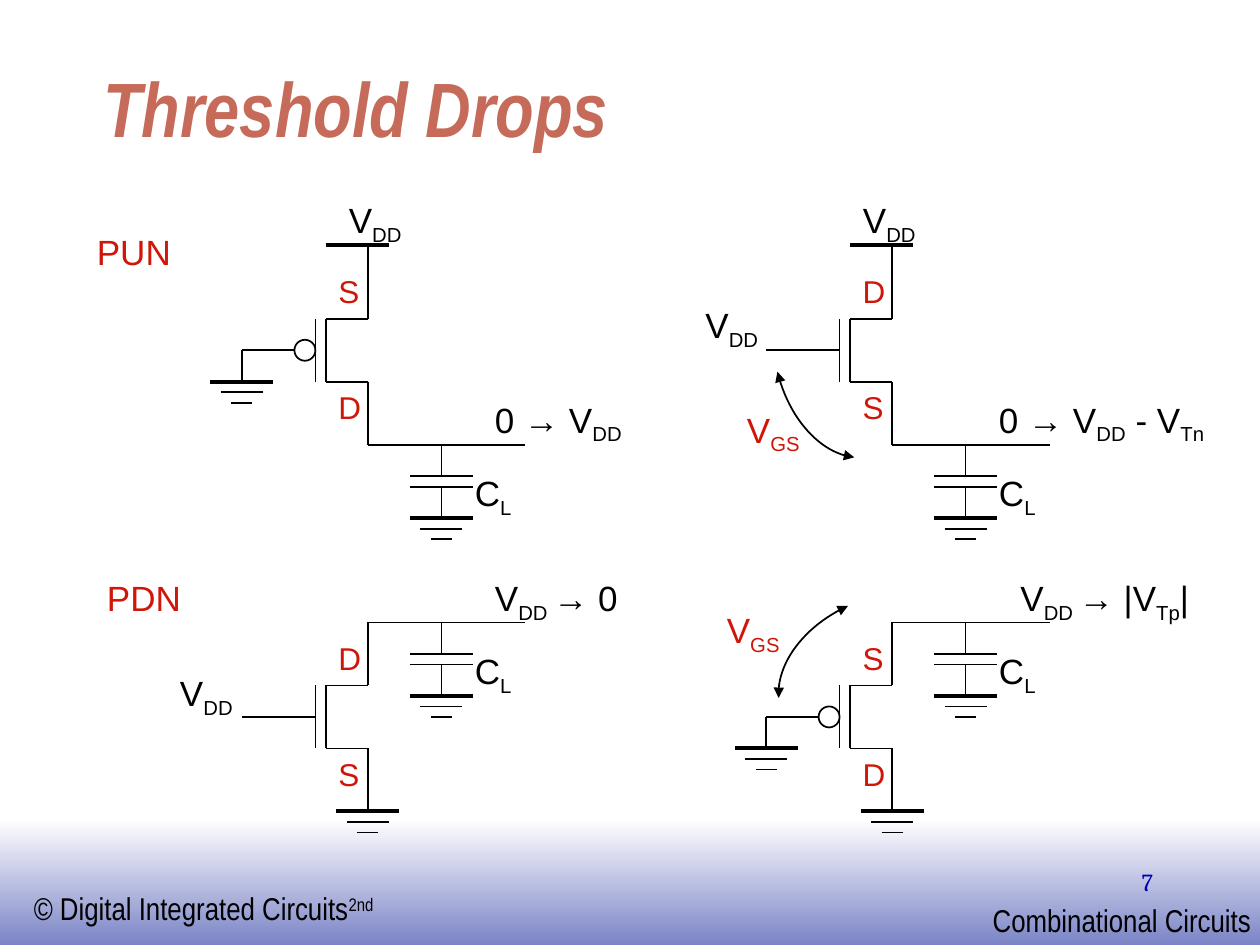
from lxml import etree
from pptx import Presentation
from pptx.dml.color import RGBColor
from pptx.enum.shapes import MSO_CONNECTOR, MSO_SHAPE
from pptx.enum.text import MSO_ANCHOR, MSO_AUTO_SIZE, PP_ALIGN
from pptx.oxml.ns import qn
from pptx.util import Inches, Pt

STRAIGHT = MSO_CONNECTOR.STRAIGHT
RECTANGLE, OVAL = MSO_SHAPE.RECTANGLE, MSO_SHAPE.OVAL
BOTTOM, TOP = MSO_ANCHOR.BOTTOM, MSO_ANCHOR.TOP
LEFT, RIGHT = PP_ALIGN.LEFT, PP_ALIGN.RIGHT
GROW = MSO_AUTO_SIZE.SHAPE_TO_FIT_TEXT
TITLE_ONLY = 5

THEME = {
    "black": "000000", "red": "D01608", "title": "C66B5A", "page": "0000B6",
    "fade": ("FFFFFF", "7B84C6"),
    "sans": "Arial", "narrow": "Arial Narrow", "serif": "Cambria",
    "title_size": 44, "label_size": 20, "small_size": 18, "page_size": 14,
    "thin": 1, "thick": 2.25,
    "subscript": -25, "superscript": 30,
}

# Text between tildes is lowered (or raised where a label asks for it).
TITLE = "Threshold Drops"
# Drain line x and channel top y in inches, transistor type, network, terminals
CIRCUITS = [
    (2.92, 2.53, "pmos", "pull-up", "SD"),
    (7.08, 2.53, "nmos", "pull-up", "DS"),
    (2.92, 5.44, "nmos", "pull-down", "DS"),
    (7.08, 5.44, "pmos", "pull-down", "SD"),
]
# Text, left, top, width, colour
LABELS = [
    ("PUN", 0.67, 1.78, 0.79, "red"),
    ("PDN", 0.75, 4.53, 0.79, "red"),
    ("V~DD~", 2.67, 1.53, 0.65, "black"),
    ("V~DD~", 6.75, 1.53, 0.65, "black"),
    ("V~DD~", 5.5, 2.36, 0.65, "black"),
    ("V~DD~", 1.33, 5.28, 0.65, "black"),
    ("0 → V~DD~", 3.83, 3.11, 1.23, "black"),
    ("0 → V~DD~ - V~Tn~", 7.83, 3.11, 1.87, "black"),
    ("V~DD ~→ 0", 3.83, 4.53, 1.23, "black"),
    ("V~DD ~→ |V~Tp~|", 8, 4.53, 1.62, "black"),
    ("V~GS~", 5.83, 3.19, 0.65, "red"),
    ("V~GS~", 5.67, 4.78, 0.65, "red"),
]
# Bezier control points of the gate-source voltage arrows
VOLTAGE_ARROWS = [
    [(6.17, 2.95), (6.26, 3.32), (6.51, 3.6), (6.78, 3.63)],
    [(6.73, 4.81), (6.38, 4.97), (6.16, 5.27), (6.18, 5.54)],
]
STEP = 1 / 12  # circuit grid in inches
CURVE_PARTS = 24


def color(name):
    return RGBColor.from_string(THEME.get(name, name))


def write(frame, text, size="label_size", font="sans", ink="black",
          align=LEFT, shift="subscript", bold=False, italic=False):
    para = frame.paragraphs[0]
    para.alignment = align
    for index, part in enumerate(text.split("~")):
        if not part:
            continue
        span = para.add_run()
        span.text = part
        span.font.size = Pt(THEME[size])
        span.font.name = THEME[font]
        span.font.color.rgb = color(ink)
        span.font.bold, span.font.italic = bold, italic
        if index % 2:
            span.font._element.set("baseline", str(THEME[shift] * 1000))


def add_text(page, text, left, top, width, height=0.43, wrap=False, **style):
    box = page.shapes.add_textbox(Inches(left), Inches(top), Inches(width), Inches(height))
    frame = box.text_frame
    frame.word_wrap = wrap
    frame.vertical_anchor = TOP
    if not wrap:
        frame.auto_size = GROW
    write(frame, text, **style)


def add_voltage_arrow(page, controls):
    points = []
    for part in range(CURVE_PARTS + 1):
        t = part / CURVE_PARTS
        weights = ((1 - t) ** 3, 3 * t * (1 - t) ** 2, 3 * t * t * (1 - t), t ** 3)
        points.append(tuple(
            Inches(sum(w * point[axis] for w, point in zip(weights, controls)))
            for axis in (0, 1)))
    builder = page.shapes.build_freeform(*points[0])
    builder.add_line_segments(points[1:], close=False)
    arrow = builder.convert_to_shape()
    arrow.shadow.inherit = False
    arrow.fill.background()
    arrow.line.color.rgb = color("black")
    arrow.line.width = Pt(THEME["thin"])
    outline = arrow.line._get_or_add_ln()
    for end in ("a:headEnd", "a:tailEnd"):
        etree.SubElement(outline, qn(end), type="triangle")


class Circuit:
    """One transistor with its load, drawn in grid steps from the channel's top right."""

    def __init__(self, page, left, top):
        self.page, self.left, self.top = page, left, top

    def place(self, x, y):
        return self.left + x * STEP, self.top + y * STEP

    def wire(self, x1, y1, x2, y2, weight="thin"):
        ends = [Inches(v) for v in self.place(x1, y1) + self.place(x2, y2)]
        line = self.page.shapes.add_connector(STRAIGHT, *ends)
        line.line.color.rgb = color("black")
        line.line.width = Pt(THEME[weight])
        etree.SubElement(line._element.spPr, qn("a:effectLst"))

    def ground(self, x, y):
        for row, weight in enumerate(("thick", "thin", "thin")):
            half = 3 - row
            self.wire(x - half, y + row, x + half, y + row, weight)

    def load(self, x, y):
        self.wire(x, y, x, y + 3)
        for plate in (3, 4):
            self.wire(x - 3, y + plate, x + 3, y + plate)
        self.wire(x, y + 4, x, y + 7)
        self.ground(x, y + 7)
        add_text(self.page, "C~L~", *self.place(x + 2, y + 2), 0.5)

    def transistor(self, kind, terminals):
        for y in (0, 6):
            self.wire(-4, y, 0, y)
        for x in (-4, -5):
            self.wire(x, 0, x, 6)
        self.wire(-12, 3, -7 if kind == "pmos" else -5, 3)
        if kind == "pmos":
            left, top = self.place(-7, 2)
            bubble = self.page.shapes.add_shape(
                OVAL, Inches(left), Inches(top), Inches(2 * STEP), Inches(2 * STEP))
            bubble.shadow.inherit = False
            bubble.fill.background()
            bubble.line.color.rgb = color("black")
            bubble.line.width = Pt(THEME["thin"])
            self.wire(-12, 3, -12, 6)
            self.ground(-12, 6)
        for name, y in zip(terminals, (-5, 6)):
            add_text(self.page, name, *self.place(-4, y), 0.38, 0.4,
                     size="small_size", ink="red")

    def network(self, kind):
        pull_up = kind == "pull-up"
        output = 12 if pull_up else -6
        self.wire(0, -7 if pull_up else -6, 0, 0)
        self.wire(0, 6, 0, 12)
        if pull_up:
            self.wire(-4, -7, 2, -7, "thick")
        else:
            self.ground(0, 12)
        self.wire(0, output, 15, output)
        self.load(7, output)


def add_footer(page):
    band = page.shapes.add_shape(RECTANGLE, 0, Inches(6.5), Inches(10), Inches(1))
    band.shadow.inherit = False
    band.line.fill.background()
    band.fill.gradient()
    band.fill.gradient_angle = 270
    for stop, shade, position in zip(band.fill.gradient_stops, THEME["fade"], (0, 1)):
        stop.color.rgb = color(shade)
        stop.position = position
    footer = {"size": "small_size", "font": "narrow"}
    add_text(page, "© Digital Integrated Circuits~2nd~", 0.17, 7.01, 2.93, 0.4,
             shift="superscript", **footer)
    add_text(page, "Combinational Circuits", 7.78, 7.1, 2.25, 0.4, **footer)
    add_text(page, "7", 7.17, 6.83, 2.08, 0.5, wrap=True,
             size="page_size", font="serif", ink="page", align=RIGHT)


def main():
    deck = Presentation()
    deck.slide_width, deck.slide_height = Inches(10), Inches(7.5)
    page = deck.slides.add_slide(deck.slide_layouts[TITLE_ONLY])
    add_footer(page)
    title = page.shapes.title
    title.left, title.top = Inches(0.72), Inches(0.48)
    title.width, title.height = Inches(8.5), Inches(0.78)
    title.text_frame.vertical_anchor = BOTTOM
    write(title.text_frame, TITLE, size="title_size", font="narrow", ink="title",
          bold=True, italic=True)
    for left, top, kind, network, terminals in CIRCUITS:
        circuit = Circuit(page, left, top)
        circuit.transistor(kind, terminals)
        circuit.network(network)
    for text, left, top, width, ink in LABELS:
        add_text(page, text, left, top, width, ink=ink)
    for controls in VOLTAGE_ARROWS:
        add_voltage_arrow(page, controls)
    deck.save("out.pptx")


if __name__ == "__main__":
    main()
